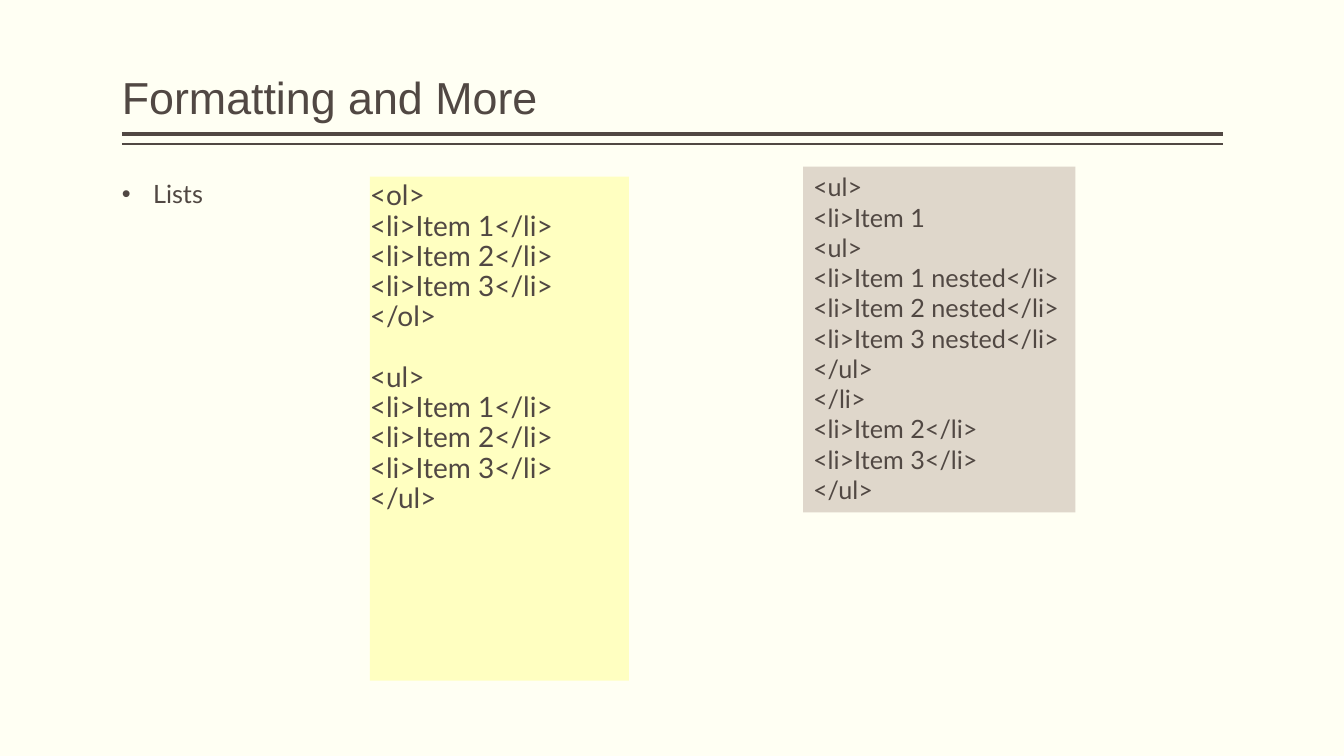
from lxml.etree import SubElement
from pptx import Presentation
from pptx.dml.color import RGBColor
from pptx.enum.shapes import MSO_CONNECTOR as Connector, MSO_SHAPE as Shape
from pptx.enum.text import MSO_ANCHOR as Anchor, MSO_AUTO_SIZE as AutoSize, PP_ALIGN as Align
from pptx.oxml.ns import qn
from pptx.util import Cm, Pt

INK = RGBColor(0x51, 0x48, 0x43)
IVORY = RGBColor(0xFF, 0xFF, 0xF3)
YELLOW = RGBColor(0xFF, 0xFF, 0xC1)
BEIGE = RGBColor(0xDF, 0xD7, 0xCB)

TITLE = "Formatting and More"
TOPIC = "Lists"
ITEMS = ["<li>Item 1</li>", "<li>Item 2</li>", "<li>Item 3</li>"]
ORDERED = ["<ol>", *ITEMS, "</ol>"]
UNORDERED = ["<ul>", *ITEMS, "</ul>"]
NESTED = [
    "<ul>", "<li>Item 1", "<ul>",
    "<li>Item 1 nested</li>", "<li>Item 2 nested</li>", "<li>Item 3 nested</li>",
    "</ul>", "</li>", *ITEMS[1:], "</ul>",
]

LEFT, RIGHT = Cm(3.07), Cm(30.81)
BODY_TOP, BODY_HEIGHT = Cm(4.45), Cm(12.7)
RULES = [(Cm(3.38), Pt(3)), (Cm(3.63), Pt(1))]
INSET = Cm(0.25)
INDENT = Cm(0.79)
BLANK_LINE = Pt(21.6)


def write(box, lines, size, font="Lato", spacing=1, inset=0, anchor=Anchor.TOP):
    frame = box.text_frame
    frame.word_wrap = True
    frame.auto_size = AutoSize.NONE
    frame.vertical_anchor = anchor
    frame.margin_left = frame.margin_right = inset
    frame.margin_top = frame.margin_bottom = Cm(0.13)
    frame.text = "\n".join(lines)
    for para in frame.paragraphs:
        para.alignment = Align.LEFT
        para.line_spacing = spacing
        para.font.name = font
        para.font.size = Pt(size)
        para.font.color.rgb = INK
    return frame


def add_panel(page, left, top, width, height, color):
    panel = page.shapes.add_shape(Shape.RECTANGLE, left, top, width, height)
    panel.shadow.inherit = False
    panel.fill.solid()
    panel.fill.fore_color.rgb = color
    panel.line.fill.background()
    return panel


def add_rule(page, top, weight):
    rule = page.shapes.add_connector(Connector.STRAIGHT, LEFT, top, RIGHT, top)
    rule.line.color.rgb = INK
    rule.line.width = weight
    SubElement(rule._element.spPr, qn("a:effectLst"))


def add_bullet(para):
    properties = para._p.get_or_add_pPr()
    properties.set("marL", str(INDENT))
    properties.set("indent", str(-INDENT))
    SubElement(properties, qn("a:buFont")).set("typeface", "Arial")
    SubElement(properties, qn("a:buChar")).set("char", "•")


def main():
    deck = Presentation()
    deck.slide_width, deck.slide_height = Cm(33.87), Cm(19.05)
    page = deck.slides.add_slide(deck.slide_layouts[6])
    page.background.fill.solid()
    page.background.fill.fore_color.rgb = IVORY

    for top, weight in RULES:
        add_rule(page, top, weight)

    title = page.shapes.add_textbox(LEFT, Cm(0.2), RIGHT - LEFT, Cm(3.05))
    write(title, [TITLE], 32, font="Arial", spacing=0.9, anchor=Anchor.BOTTOM)

    topic = page.shapes.add_textbox(LEFT, BODY_TOP, Cm(6), BODY_HEIGHT)
    frame = write(topic, [TOPIC], 18, spacing=0.9)
    add_bullet(frame.paragraphs[0])

    simple = add_panel(page, Cm(9.32), BODY_TOP, Cm(6.53), BODY_HEIGHT, YELLOW)
    frame = write(simple, ORDERED + UNORDERED, 20, spacing=0.9)
    frame.paragraphs[len(ORDERED)].space_before = BLANK_LINE

    nested = add_panel(page, Cm(20.24), Cm(4.2), Cm(6.86), Cm(8.71), BEIGE)
    write(nested, NESTED, 18, inset=INSET)

    deck.save("out.pptx")


if __name__ == "__main__":
    main()
